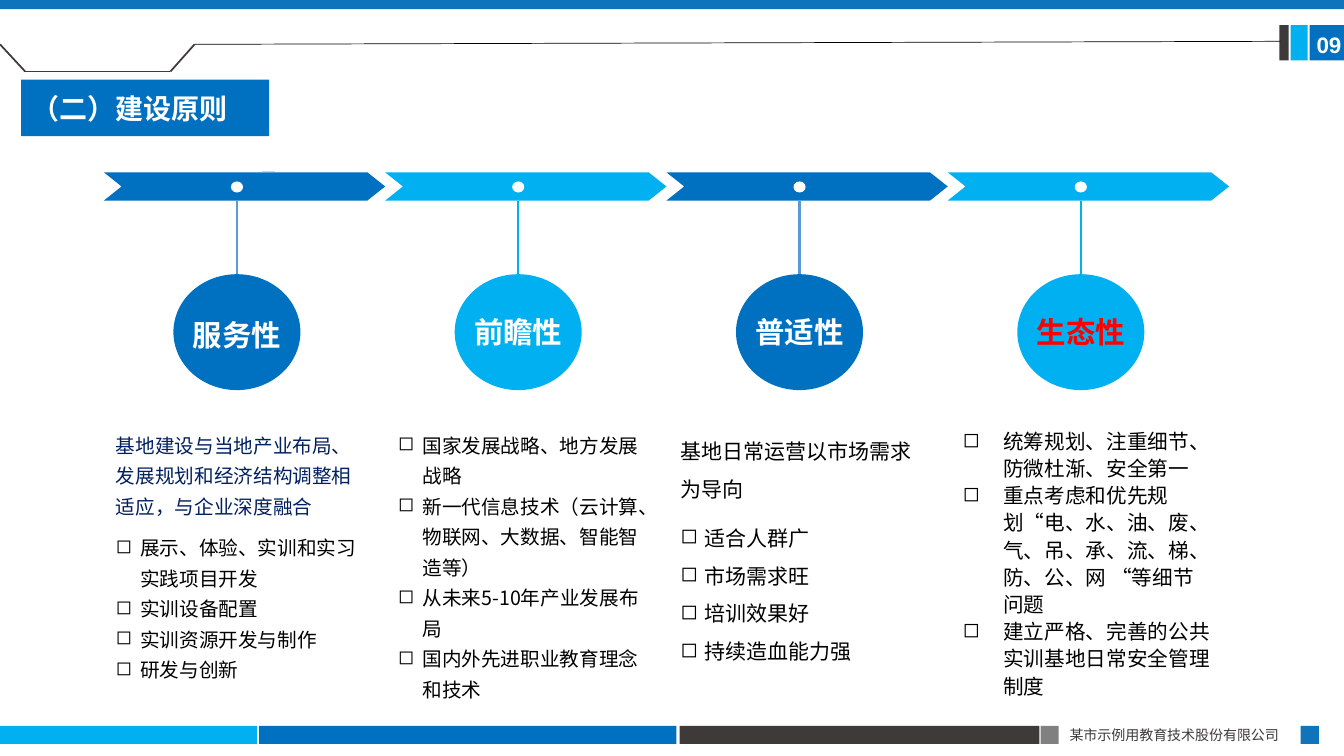
import pptx
import pptx.util
import pptx.dml.color
import pptx.enum.shapes
import pptx.enum.text
import pptx.oxml.ns
import lxml.etree

COLS, ROWS = 133.3, 75
SANS = "Noto Sans CJK SC"
BLUE, SKY, DARK, WHITE, BLACK = "0070C0", "00B0F0", "3E3A39", "FFFFFF", "000000"
KIND = pptx.enum.shapes.MSO_SHAPE
ALIGN = pptx.enum.text.PP_ALIGN
MID = pptx.enum.text.MSO_ANCHOR.MIDDLE

deck = pptx.Presentation()
deck.slide_width = pptx.util.Inches(13.33)
deck.slide_height = pptx.util.Inches(7.5)
slide = deck.slides.add_slide(deck.slide_layouts[6])


def hue(code):
    """Turn a hex string into a colour."""
    return pptx.dml.color.RGBColor.from_string(code)


def col(x):
    """Length of x grid columns."""
    return round(deck.slide_width * x / COLS)


def row(y):
    """Length of y grid rows."""
    return round(deck.slide_height * y / ROWS)


def place(box):
    """Turn a grid box into slide lengths."""
    x, y, w, h = box
    return col(x), row(y), col(w), row(h)


def add_tag(parent, name, **attrs):
    """Append a drawing element to a parent."""
    return lxml.etree.SubElement(parent, pptx.oxml.ns.qn(name), attrs)


def draw(box, fill, kind=KIND.RECTANGLE):
    """Draw a flat preset shape."""
    shape = slide.shapes.add_shape(kind, *place(box))
    shape.shadow.inherit = False
    shape.fill.solid()
    shape.fill.fore_color.rgb = hue(fill)
    shape.line.fill.background()
    return shape


def link(start, end, color, width):
    """Draw a straight line between two grid points."""
    line = slide.shapes.add_connector(
        pptx.enum.shapes.MSO_CONNECTOR.STRAIGHT,
        col(start[0]), row(start[1]), col(end[0]), row(end[1]))
    line.line.color.rgb = hue(color)
    line.line.width = pptx.util.Pt(width)
    add_tag(line._element.spPr, "a:effectLst")
    return line


def write(para, text, size, color, face=SANS, bold=False):
    """Add one styled run to a paragraph."""
    run = para.add_run()
    run.text = text
    run.font.size = pptx.util.Pt(size)
    run.font.bold = bold
    run.font.name = face
    run.font.color.rgb = hue(color)
    add_tag(run._r.get_or_add_rPr(), "a:ea", typeface=SANS)


def frame(shape, inset=True):
    """Prepare the text frame of a shape."""
    area = shape.text_frame
    area.word_wrap = True
    if not inset:
        area.margin_left = area.margin_right = 0
        area.margin_top = area.margin_bottom = 0
    return area


def label(box, text, size, color, face=SANS, bold=False):
    """Place a single line of text."""
    area = frame(slide.shapes.add_textbox(*place(box)))
    write(area.paragraphs[0], text, size, color, face, bold)


def header(box):
    """Draw the top band, tab outline and page number."""
    x, y, w, h = box
    draw((x, y, w, 0.9), "1074BB")
    for left, wide, fill in ((126.9, 0.9, DARK), (128, 1.7, SKY), (129.9, 3.5, BLUE)):
        draw((x + left, y + 2.5, wide, 3.5), fill)
    bend = [(x, y + 4.4), (x + 2.5, y + h), (x + 16.9, y + h), (x + 19.3, y + 4.4)]
    for start, end in zip(bend, bend[1:]):
        link(start, end, DARK, 1.25)
    link(bend[-1], (x + 127, y + 4.1), BLACK, 0.5)
    label((x + 129.6, y + 2.6, 5, 3.7), "09", 16, WHITE, "Arial", True)


def footer(box):
    """Draw the bottom bars and the firm's name."""
    x, y, w, h = box
    for left, wide, fill in ((0, 25.5, SKY), (25.7, 41.4, BLUE), (67.4, 35.7, DARK),
                             (103.2, 1.8, "808080"), (129, 1.8, "1074BB")):
        draw((x + left, y, wide, h), fill)
    label((x + 105.1, y - 0.4, 24, 2.7), "某市示例用教育技术股份有限公司", 10, DARK)


def title(box):
    """Draw the section title."""
    shape = draw(box, BLUE)
    area = frame(shape)
    area.vertical_anchor = MID
    area.paragraphs[0].alignment = ALIGN.LEFT
    write(area.paragraphs[0], "（二）建设原则", 20, WHITE, "Calibri", True)


def stage(box, name, fill, stem, ink):
    """Draw an arrow, its dot, stem and named circle."""
    x, y, w, h = box
    mid = x + 13.2
    arrow = draw((x, y, w, 2.8), fill, KIND.CHEVRON)
    arrow.adjustments[0] = 0.63
    draw((mid - 0.6, y + 0.9, 1.2, 1.1), WHITE, KIND.OVAL)
    disc = draw((mid - 6.3, y + h - 11.5, 12.6, 11.5), fill, KIND.OVAL)
    line = link((mid, y + h - 11.5), (mid, y + 2.8), stem, 1.5)
    line.begin_connect(disc, 0)
    area = frame(disc, False)
    area.vertical_anchor = MID
    para = area.paragraphs[0]
    para.alignment = ALIGN.CENTER
    if name == "服务性":
        para.line_spacing = pptx.util.Pt(28.2)
    write(para, name, 21, ink, bold=True)


def notes(box, lead, ink, points, size, space, indent):
    """Write a lead sentence and bulleted points."""
    area = frame(slide.shapes.add_textbox(*place(box)), False)
    lines = ([(lead, False)] if lead else []) + [(point, True) for point in points]
    for i, (text, mark) in enumerate(lines):
        para = area.add_paragraph() if i else area.paragraphs[0]
        para.line_spacing = space
        if mark:
            props = para._p.get_or_add_pPr()
            props.set("marL", str(col(indent)))
            props.set("indent", str(-col(indent)))
            add_tag(props, "a:buChar", char="◻")
        else:
            para.space_after = pptx.util.Pt(7.7)
        write(para, text, size, BLACK if mark else ink)


THEMES = [
    ("服务性", WHITE, "基地建设与当地产业布局、发展规划和经济结构调整相适应，与企业深度融合", "002060",
     ["展示、体验、实训和实习实践项目开发", "实训设备配置", "实训资源开发与制作", "研发与创新"],
     14, 1.3, 2.4),
    ("前瞻性", WHITE, None, BLACK,
     ["国家发展战略、地方发展战略", "新一代信息技术（云计算、物联网、大数据、智能智造等）",
      "从未来5-10年产业发展布局", "国内外先进职业教育理念和技术"],
     14, 1.3, 2.4),
    ("普适性", WHITE, "基地日常运营以市场需求为导向", BLACK,
     ["适合人群广", "市场需求旺", "培训效果好", "持续造血能力强"],
     15, 1.5, 2.4),
    ("生态性", "FF0000", None, BLACK,
     ["统筹规划、注重细节、防微杜渐、安全第一",
      "重点考虑和优先规划“电、水、油、废、气、吊、承、流、梯、防、公、网 “等细节问题",
      "建立严格、完善的公共实训基地日常安全管理制度"],
     14.7, 1.1, 4),
]


def main():
    """Build and save the slide."""
    footer((0, 72, COLS, 1.8))
    header((0, 0, COLS, 7.1))
    title((2.1, 7.9, 24.6, 5.6))
    link((26, 17), (27.3, 17), "D5D5D5", 1)
    for i, (name, ink, lead, tone, points, size, space, indent) in enumerate(THEMES):
        fill, stem = ((BLUE, "5B9BD5"), (SKY, SKY))[i % 2]
        stage((10.3 + 27.9 * i, 17.1, 27.9, 21.6), name, fill, stem, ink)
        notes((11.5 + 28 * i, 42.3, 24.7, 27.9), lead, tone, points, size, space, indent)
    deck.save("out.pptx")


if __name__ == "__main__":
    main()
